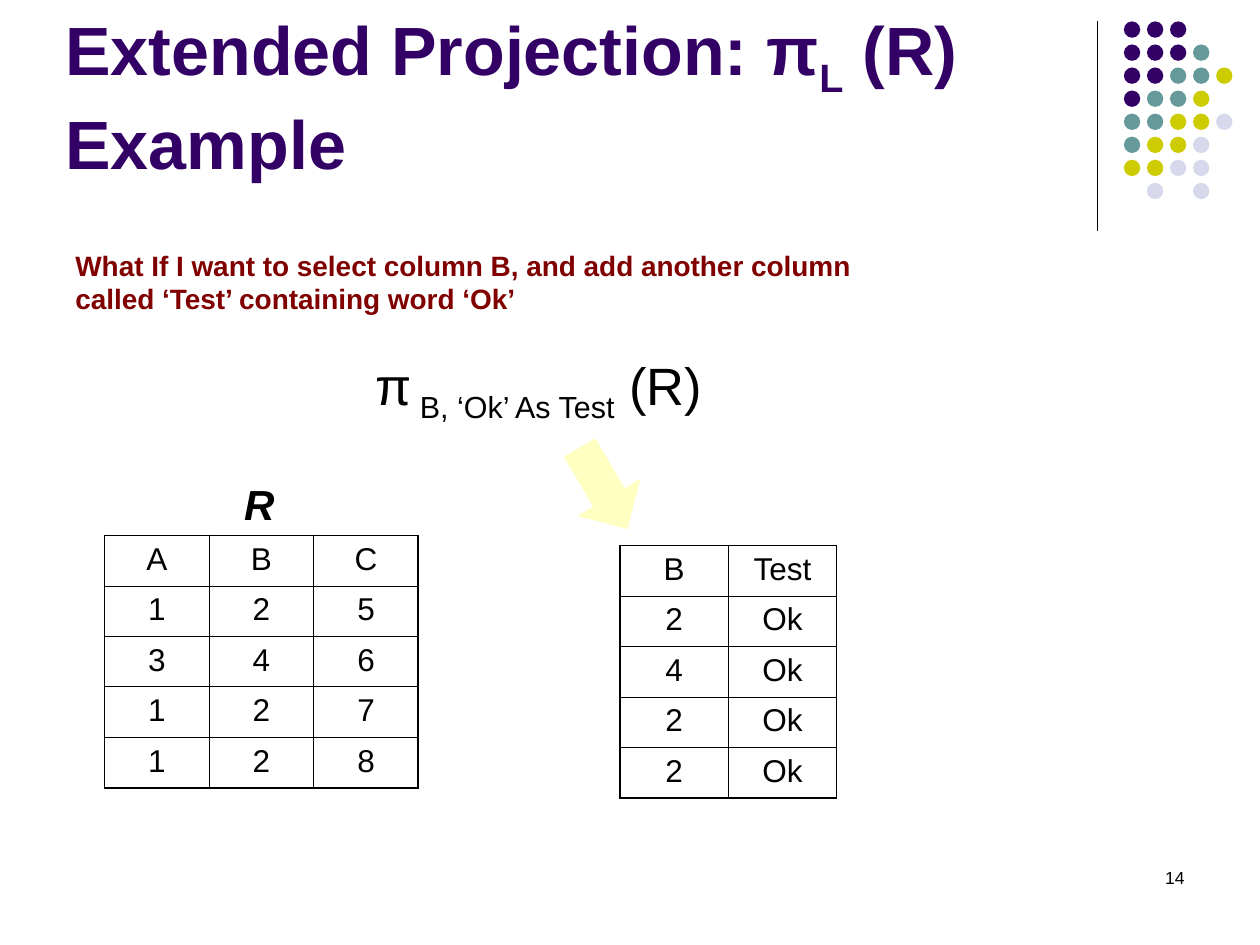
from lxml.etree import SubElement
from pptx import Presentation
from pptx.dml.color import RGBColor
from pptx.enum.shapes import MSO_CONNECTOR, MSO_SHAPE
from pptx.enum.text import MSO_ANCHOR, MSO_AUTO_SIZE, PP_ALIGN
from pptx.oxml.ns import qn
from pptx.util import Inches, Pt

BLACK = RGBColor(0x00, 0x00, 0x00)
PURPLE = RGBColor(0x33, 0x00, 0x66)
TEAL = RGBColor(0x66, 0x99, 0x99)
OLIVE = RGBColor(0xCC, 0xCC, 0x00)
LILAC = RGBColor(0xD8, 0xD8, 0xEC)
MAROON = RGBColor(0x80, 0x00, 0x00)
CREAM = RGBColor(0xFF, 0xFF, 0xC2)
THIN, THICK = Pt(0.45), Pt(1.08)


def write(para, parts, size, color, bold=False, italic=False):
    """Add the parts as runs; every second part is a subscript."""
    for i, part in enumerate(parts):
        run = para.add_run()
        run.text = part
        font = run.font
        font.name, font.size = "Arial", Pt(size)
        font.bold, font.italic = bold, italic
        font.color.rgb = color
        if i % 2:
            run._r.get_or_add_rPr().set("baseline", "-25000")


def edge(cell, side, width):
    """Draw one border of a cell; side is L, R, T or B."""
    line = SubElement(cell._tc.get_or_add_tcPr(), qn(f"a:ln{side}"), w=str(width))
    fill = SubElement(line, qn("a:solidFill"))
    SubElement(fill, qn("a:srgbClr"), val=str(BLACK))


prs = Presentation()
prs.slide_width, prs.slide_height = Inches(10), Inches(7.5)
slide = prs.slides.add_slide(prs.slide_layouts[5])
shapes = slide.shapes

# Corner decoration: rule and dot grid
rule = shapes.add_connector(
    MSO_CONNECTOR.STRAIGHT, Inches(8.71), Inches(0.17), Inches(8.71), Inches(1.83))
rule.line.color.rgb = BLACK
rule.line.width = Pt(0.75)
SubElement(rule._element.spPr, qn("a:effectLst"))

hues = {"P": PURPLE, "T": TEAL, "O": OLIVE, "L": LILAC}
dots = ["PPP", "PPPT", "PPTTO", "PTTO", "TTOOL", "TOOL", "OOLL", ".L.L"]
for r, row in enumerate(dots):
    for c, key in enumerate(row):
        if key in hues:
            dot = shapes.add_shape(
                MSO_SHAPE.OVAL, Inches(8.92 + 0.183 * c), Inches(0.17 + 0.183 * r),
                Inches(0.13), Inches(0.13))
            dot.shadow.inherit = False
            dot.fill.solid()
            dot.fill.fore_color.rgb = hues[key]
            dot.line.fill.background()

# Title
title = shapes.title
title.left, title.top = Inches(0.42), Inches(0.3)
title.width, title.height = Inches(8.25), Inches(1.2)
frame = title.text_frame
frame.auto_size = MSO_AUTO_SIZE.NONE
frame.vertical_anchor = MSO_ANCHOR.BOTTOM
para = frame.paragraphs[0]
para.alignment = PP_ALIGN.LEFT
write(para, ["Extended Projection: π", "L", " (R)"], 39, PURPLE, bold=True)
para.add_line_break()
SubElement(para._p.find(qn("a:br")), qn("a:rPr"), sz="3900")
write(para, ["Example"], 39, PURPLE, bold=True)

# Text boxes: place, wrap, alignment, parts, size, colour, bold, italic
question = ("What If I want to select column B, and add another column "
            "called ‘Test’ containing word ‘Ok’")
boxes = [
    ((0.5, 1.92, 6.58, 0.64), True, PP_ALIGN.LEFT, [question], 16, MAROON, True, False),
    ((2.88, 2.75, 2.93, 0.67), False, PP_ALIGN.LEFT,
     ["π", " B, ‘Ok’ As Test", " (R)"], 30, BLACK, False, False),
    ((1.84, 3.75, 0.44, 0.5), False, PP_ALIGN.LEFT, ["R"], 24, BLACK, True, True),
    ((7.17, 6.83, 2.33, 0.5), True, PP_ALIGN.RIGHT, ["14"], 10, BLACK, False, False),
]
for place, wrap, align, parts, size, color, bold, italic in boxes:
    frame = shapes.add_textbox(*map(Inches, place)).text_frame
    frame.word_wrap = wrap
    para = frame.paragraphs[0]
    para.alignment = align
    write(para, parts, size, color, bold, italic)

# Tables: left, top, column width, right border, rows
source = ["A B C", "1 2 5", "3 4 6", "1 2 7", "1 2 8"]
result = ["B Test", "2 Ok", "4 Ok", "2 Ok", "2 Ok"]
for left, top, wide, right, lines in [
        (0.83, 4.25, 0.83, THICK, source), (4.92, 4.33, 0.86, THIN, result)]:
    rows = [line.split() for line in lines]
    high, cols = len(rows), len(rows[0])
    table = shapes.add_table(
        high, cols, Inches(left), Inches(top),
        Inches(wide * cols), Inches(0.4 * high)).table
    table.first_row = table.horz_banding = False
    for r, row in enumerate(rows):
        for c, word in enumerate(row):
            cell = table.cell(r, c)
            para = cell.text_frame.paragraphs[0]
            para.alignment = PP_ALIGN.CENTER
            write(para, [word], 18, BLACK)
            edge(cell, "L", THICK if c == 0 else THIN)
            edge(cell, "R", right if c == cols - 1 else THIN)
            edge(cell, "T", THICK if r == 0 else THIN)
            edge(cell, "B", THICK if r == high - 1 else THIN)
            cell.fill.background()

# Arrow from the formula to the result
arrow = shapes.add_shape(
    MSO_SHAPE.DOWN_ARROW, Inches(4.5), Inches(3.5), Inches(0.58), Inches(0.75))
arrow.rotation = 329.6
arrow.shadow.inherit = False
arrow.fill.solid()
arrow.fill.fore_color.rgb = CREAM
arrow.line.fill.background()

prs.save("out.pptx")
